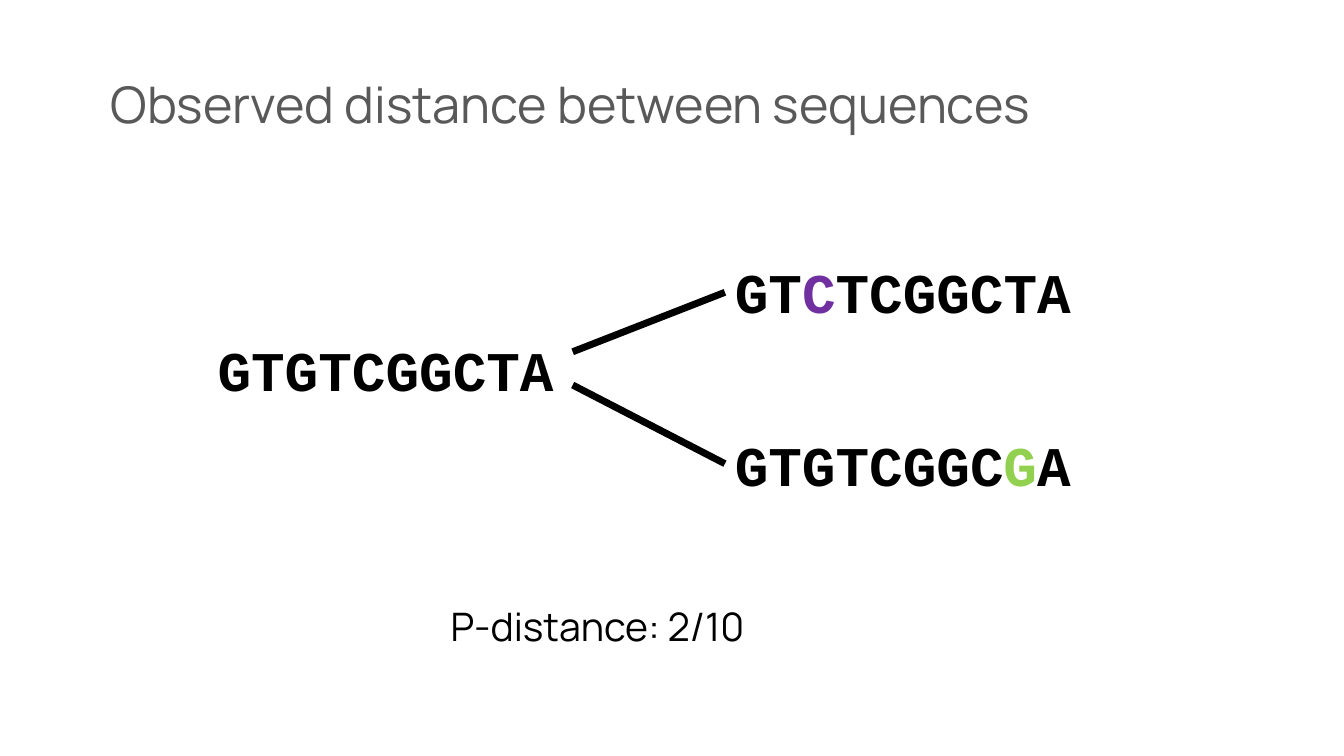
import pptx
import pptx.util
import pptx.dml.color
import pptx.enum.shapes
import pptx.enum.text
import pptx.oxml.ns
import lxml.etree

Inches = pptx.util.Inches
ALIGN = pptx.enum.text.PP_ALIGN
ANCHOR = pptx.enum.text.MSO_ANCHOR
BLACK = "000000"


def color(code):
    return pptx.dml.color.RGBColor.from_string(code)


def add_text(slide, box, text, size, font, ink=BLACK, bold=False,
             align=ALIGN.LEFT, anchor=ANCHOR.TOP):
    """Add a wrapped one-line text box and return its paragraph."""
    frame = slide.shapes.add_textbox(*map(Inches, box)).text_frame
    frame.word_wrap = True
    frame.vertical_anchor = anchor
    line = frame.paragraphs[0]
    line.alignment = align
    line.font.size = pptx.util.Pt(size)
    line.font.name = font
    line.font.bold = bold
    line.font.color.rgb = color(ink)
    if text:
        line.add_run().text = text
    return line


def add_bases(slide, box, bases, spot=None, ink=BLACK):
    """Add a sequence, with the base at index spot coloured."""
    if spot is None:
        add_text(slide, box, bases, 40, "Courier New", bold=True)
        return
    line = add_text(slide, box, "", 40, "Courier New", bold=True)
    parts = [(bases[:spot], BLACK), (bases[spot], ink),
             (bases[spot + 1:], BLACK)]
    for part, tint in parts:
        run = line.add_run()
        run.text = part
        run.font.color.rgb = color(tint)


def add_branch(slide, start, end):
    """Add a thick line without a shadow."""
    branch = slide.shapes.add_connector(
        pptx.enum.shapes.MSO_CONNECTOR.STRAIGHT,
        *map(Inches, start + end))
    branch.line.color.rgb = color(BLACK)
    branch.line.width = pptx.util.Pt(5)
    props = branch._element.spPr
    lxml.etree.SubElement(props, pptx.oxml.ns.qn("a:effectLst"))


def main():
    deck = pptx.Presentation()
    deck.slide_width = Inches(13.33)
    deck.slide_height = Inches(7.5)
    slide = deck.slides.add_slide(deck.slide_layouts[6])

    # Title
    title = add_text(slide, (1, 0.43, 11.41, 0.95),
                     "Observed distance between sequences", 36, "Manrope",
                     ink="595959", anchor=ANCHOR.BOTTOM)
    title.line_spacing = 0.9

    # Parent sequence and its two descendants
    add_bases(slide, (2.06, 3.28, 4.83, 0.77), "GTGTCGGCTA")
    add_bases(slide, (7.19, 2.51, 5.22, 0.77), "GTCTCGGCTA", 2, "7030A0")
    add_bases(slide, (7.19, 4.22, 5.07, 0.77), "GTGTCGGCGA", 8, "92D050")

    # Branches
    add_branch(slide, (5.68, 3.49), (7.19, 2.9))
    add_branch(slide, (5.68, 3.82), (7.19, 4.6))

    # Result
    add_text(slide, (1, 5.93, 9.85, 0.57), "P-distance: 2/10", 28, "Manrope",
             align=ALIGN.CENTER)

    deck.save("out.pptx")


if __name__ == "__main__":
    main()
